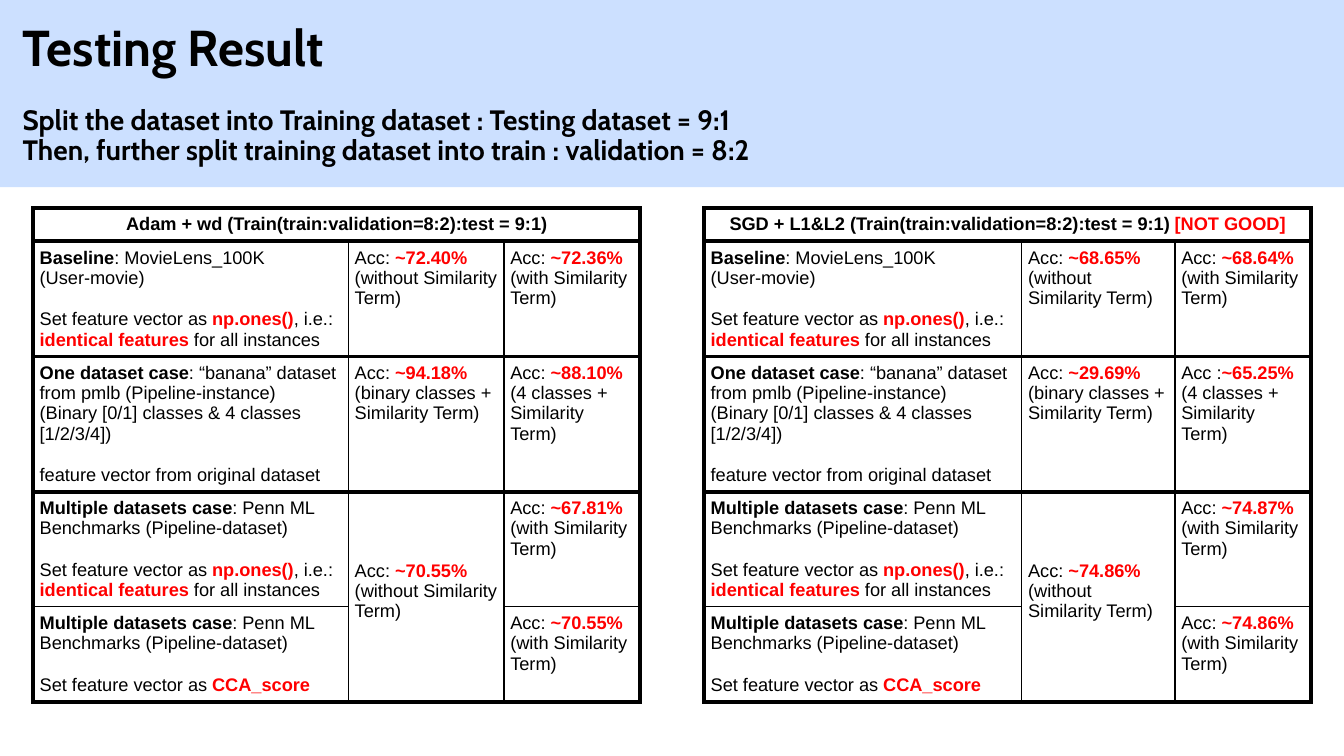
import dataclasses

import lxml.etree
import pptx
import pptx.dml.color
import pptx.enum.shapes
import pptx.enum.text
import pptx.oxml.ns
import pptx.util

Cm = pptx.util.Cm
Pt = pptx.util.Pt
qn = pptx.oxml.ns.qn


@dataclasses.dataclass(frozen=True)
class Theme:
    band: str = "CCE0FF"
    ink: str = "000000"
    accent: str = "FF0000"
    heading_font: str = "Cabin"
    table_font: str = "Arial"
    title_size: int = 36
    subtitle_size: int = 20
    table_size: int = 13
    thick: int = 3
    thin: int = 1
    plain_table: str = "{2D5ABB26-0587-4C30-8999-92F81FD0307C}"


class SlideWriter:
    def __init__(self, slide, theme):
        self.slide = slide
        self.theme = theme

    def run(self, paragraph, text, font, size, bold=False, accent=False):
        run = paragraph.add_run()
        run.text = text
        run.font.name = font
        run.font.size = Pt(size)
        run.font.bold = bold
        color = self.theme.accent if accent else self.theme.ink
        run.font.color.rgb = pptx.dml.color.RGBColor.from_string(color)

    def title_band(self, title, subtitles):
        theme = self.theme
        band = self.slide.shapes.add_shape(
            pptx.enum.shapes.MSO_SHAPE.RECTANGLE, 0, 0, Cm(33.87), Cm(4.72))
        band.shadow.inherit = False
        band.fill.solid()
        band.fill.fore_color.rgb = pptx.dml.color.RGBColor.from_string(theme.band)
        band.line.fill.background()
        frame = band.text_frame
        frame.word_wrap = True
        frame.vertical_anchor = pptx.enum.text.MSO_ANCHOR.TOP
        frame.margin_left = frame.margin_top = Cm(0.57)
        frame.margin_right = frame.margin_bottom = Cm(0.6)
        lines = [(title, theme.title_size)] + [(text, theme.subtitle_size) for text in subtitles]
        for index, (text, size) in enumerate(lines):
            paragraph = frame.add_paragraph() if index else frame.paragraphs[0]
            paragraph.alignment = pptx.enum.text.PP_ALIGN.LEFT
            paragraph.line_spacing = 0.9
            if index == 1:
                paragraph.space_before = Pt(21)
            self.run(paragraph, text, theme.heading_font, size, bold=True)

    def cell_text(self, cell, paragraphs, centered=False):
        frame = cell.text_frame
        for index, runs in enumerate(paragraphs):
            paragraph = frame.add_paragraph() if index else frame.paragraphs[0]
            if centered:
                paragraph.alignment = pptx.enum.text.PP_ALIGN.CENTER
            if runs[0][0].lower().startswith(DETAIL_STARTS):
                paragraph.space_before = Pt(15)
            for text, style in runs:
                self.run(paragraph, text, self.theme.table_font, self.theme.table_size,
                         bold=style != "plain", accent=style == "accent")

    def cell_borders(self, cell, row, column):
        theme = self.theme
        across = [theme.thick] * 4 + [theme.thin, theme.thick]
        down = [theme.thick, theme.thin, theme.thin, theme.thick]
        height = cell.span_height if cell.is_merge_origin else 1
        width = cell.span_width if cell.is_merge_origin else 1
        weights = {"a:lnL": down[column], "a:lnR": down[column + width],
                   "a:lnT": across[row], "a:lnB": across[row + height]}
        properties = cell._tc.get_or_add_tcPr()
        for position, (edge, weight) in enumerate(weights.items()):
            line = lxml.etree.Element(qn(edge), w=str(Pt(weight)))
            if cell.is_spanned and weight == theme.thin:
                lxml.etree.SubElement(line, qn("a:noFill"))
            else:
                fill = lxml.etree.SubElement(line, qn("a:solidFill"))
                lxml.etree.SubElement(fill, qn("a:srgbClr"), val=theme.ink)
            properties.insert(position, line)

    def result_table(self, left, widths, heading, results):
        heights = [0.84, 2.9, 3.4, 2.9, 2.4]
        frame = self.slide.shapes.add_table(
            len(heights), len(widths), Cm(left), Cm(5.24), Cm(sum(widths)), Cm(sum(heights)))
        table = frame.table
        table.first_row = table.horz_banding = False
        table._tbl.tblPr.find(qn("a:tableStyleId")).text = self.theme.plain_table
        for column, width in zip(table.columns, widths):
            column.width = Cm(width)
        for row, height in zip(table.rows, heights):
            row.height = Cm(height)
        table.cell(0, 0).merge(table.cell(0, 2))
        table.cell(3, 1).merge(table.cell(4, 1))
        for row in range(len(heights)):
            for column in range(len(widths)):
                cell = table.cell(row, column)
                cell.fill.background()
                cell.margin_left = cell.margin_right = Cm(0.16)
                cell.margin_top = cell.margin_bottom = Cm(0.16)
                self.cell_borders(cell, row, column)
        self.cell_text(table.cell(0, 0), [heading], centered=True)
        for row, (case, scores) in enumerate(zip(CASES, results), 1):
            self.cell_text(table.cell(row, 0), case)
            for column, score in enumerate(scores, 1):
                if score:
                    label, accuracy, condition = score
                    self.cell_text(table.cell(row, column), [
                        [(label, "plain"), (accuracy, "accent")], [(condition, "plain")]])
        table.cell(3, 1).margin_top = Cm(1.74)


DETAIL_STARTS = ("set feature", "feature vector")
ONES_FEATURES = [("Set feature vector as ", "plain"), ("np.ones()", "accent"),
                 (", i.e.: ", "plain"), ("identical features", "accent"),
                 (" for all instances", "plain")]
MULTIPLE_DATASETS = [("Multiple datasets case", "bold"),
                     (": Penn ML Benchmarks (Pipeline-dataset)", "plain")]
CASES = [
    [[("Baseline", "bold"), (": MovieLens_100K", "plain")],
     [("(User-movie)", "plain")], ONES_FEATURES],
    [[("One dataset case", "bold"),
      (": “banana” dataset from pmlb (Pipeline-instance)", "plain")],
     [("(Binary [0/1] classes & 4 classes [1/2/3/4])", "plain")],
     [("feature vector from original dataset", "plain")]],
    [MULTIPLE_DATASETS, ONES_FEATURES],
    [MULTIPLE_DATASETS, [("Set feature vector as ", "plain"), ("CCA_score", "accent")]],
]
WITHOUT = "(without Similarity Term)"
WITH = "(with Similarity Term)"
BINARY = "(binary classes + Similarity Term)"
FOUR = "(4 classes + Similarity Term)"
ADAM_RESULTS = [
    [("Acc: ", "~72.40%", WITHOUT), ("Acc: ", "~72.36%", WITH)],
    [("Acc: ", "~94.18%", BINARY), ("Acc: ", "~88.10%", FOUR)],
    [("Acc: ", "~70.55%", WITHOUT), ("Acc: ", "~67.81%", WITH)],
    [None, ("Acc: ", "~70.55%", WITH)],
]
SGD_RESULTS = [
    [("Acc: ", "~68.65%", WITHOUT), ("Acc: ", "~68.64%", WITH)],
    [("Acc: ", "~29.69%", BINARY), ("Acc :", "~65.25%", FOUR)],
    [("Acc: ", "~74.86%", WITHOUT), ("Acc: ", "~74.87%", WITH)],
    [None, ("Acc: ", "~74.86%", WITH)],
]


def main():
    presentation = pptx.Presentation()
    presentation.slide_width = Cm(33.87)
    presentation.slide_height = Cm(19.05)
    slide = presentation.slides.add_slide(presentation.slide_layouts[6])
    writer = SlideWriter(slide, Theme())
    writer.title_band("Testing Result", [
        "Split the dataset into Training dataset : Testing dataset = 9:1",
        "Then, further split training dataset into train : validation = 8:2"])
    writer.result_table(0.84, [7.94, 3.92, 3.42], [
        ("Adam + wd (Train(train:validation=8:2):test = 9:1)", "bold")], ADAM_RESULTS)
    writer.result_table(17.75, [8, 3.86, 3.42], [
        ("SGD + L1&L2 (Train(train:validation=8:2):test = 9:1) ", "bold"),
        ("[NOT GOOD]", "accent")], SGD_RESULTS)
    presentation.save("out.pptx")


if __name__ == "__main__":
    main()
